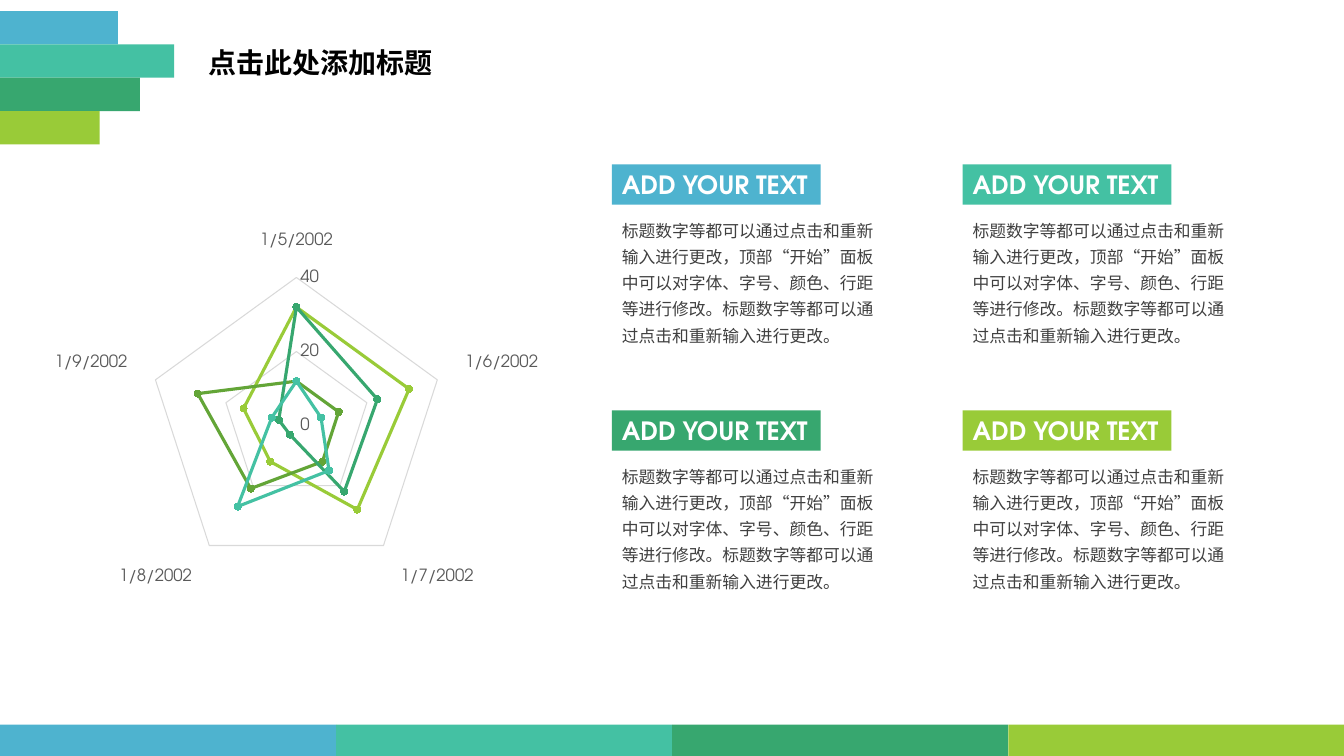
import pptx
import pptx.chart.data
import pptx.dml.color
import pptx.enum.chart
import pptx.enum.shapes
import pptx.enum.text
import pptx.oxml
import pptx.oxml.ns
import pptx.util

Cm = pptx.util.Cm
Pt = pptx.util.Pt
Auto = pptx.enum.text.MSO_AUTO_SIZE

HUES = {
    "blue": "4EB3CF", "teal": "44C1A3", "green": "37A76F", "lime": "99CB38",
    "leaf": "63A537", "grid": "D9D9D9", "axis": "595959", "body": "404040",
    "black": "000000", "white": "FFFFFF",
}
BAND = ["blue", "teal", "green", "lime"]
HAN = "Noto Sans CJK SC"
LATIN = "TeX Gyre Adventor"
BODY = ("标题数字等都可以通过点击和重新输入进行更改，顶部“开始”面板中可以对字体、"
        "字号、颜色、行距等进行修改。标题数字等都可以通过点击和重新输入进行更改。")


def style(font, face, size, hue, bold=False):
    """Set Latin and East Asian face, size, colour and weight."""
    font.size = Pt(size)
    font.bold = bold
    font.color.rgb = pptx.dml.color.RGBColor.from_string(HUES[hue])
    font.name = face
    latin = font._element.find(pptx.oxml.ns.qn("a:latin"))
    east = pptx.oxml.parse_xml(f'<a:ea {pptx.oxml.ns.nsdecls("a")} typeface="{face}"/>')
    latin.addnext(east)


def block(left, top, width, height, hue):
    """Add a plain filled rectangle, measured in centimetres."""
    rect = slide.shapes.add_shape(
        pptx.enum.shapes.MSO_SHAPE.RECTANGLE, Cm(left), Cm(top), Cm(width), Cm(height))
    rect.shadow.inherit = False
    rect.fill.solid()
    rect.fill.fore_color.rgb = pptx.dml.color.RGBColor.from_string(HUES[hue])
    rect.line.fill.background()
    return rect


deck = pptx.Presentation()
deck.slide_width = Cm(33.87)
deck.slide_height = Cm(19.05)
slide = deck.slides.add_slide(deck.slide_layouts[5])

# Corner stripes and footer band
for i, (hue, width) in enumerate(zip(BAND, [2.97, 4.39, 3.53, 2.51])):
    block(0, 0.28 + i * 0.84, width, 0.84, hue)
    block(i * 8.47, 18.26, 8.47, 0.79, hue)

# Title
title = slide.shapes.title
title.left, title.top, title.width, title.height = Cm(5), Cm(0.89), Cm(12.4), Cm(1.47)
frame = title.text_frame
frame.text = "点击此处添加标题"
frame.auto_size = Auto.NONE
frame.vertical_anchor = pptx.enum.text.MSO_ANCHOR.MIDDLE
para = frame.paragraphs[0]
para.alignment = pptx.enum.text.PP_ALIGN.LEFT
para.line_spacing = 0.9
style(para.font, HAN, 20, "black", True)

# Radar chart
data = pptx.chart.data.CategoryChartData()
data.categories = [f"1/{day}/2002" for day in range(5, 10)]
data.add_series("Series 1", [32, 32, 28, 12, 15])
data.add_series("Series 2", [12, 12, 12, 21, 28])
data.add_series("Series 3", [32, 23, 22, 3, 5])
data.add_series("Series 4", [12, 7, 15, 27, 7])
chart = slide.shapes.add_chart(
    pptx.enum.chart.XL_CHART_TYPE.RADAR_MARKERS,
    Cm(1.12), Cm(4.55), Cm(12.7), Cm(11.5), data).chart
chart.has_legend = False
chart.has_title = False
style(chart.font, LATIN, 10, "black")

cats, vals = chart.category_axis, chart.value_axis
for axis in (cats, vals):
    axis.major_tick_mark = pptx.enum.chart.XL_TICK_MARK.NONE
    axis.minor_tick_mark = pptx.enum.chart.XL_TICK_MARK.NONE
    style(axis.tick_labels.font, LATIN, 12, "axis")
cats.has_major_gridlines = False
vals.has_major_gridlines = True
vals.minimum_scale, vals.maximum_scale, vals.major_unit = 0, 40, 20
vals.format.line.fill.background()
for line in (cats.format.line, vals.major_gridlines.format.line):
    line.color.rgb = pptx.dml.color.RGBColor.from_string(HUES["grid"])
    line.width = Pt(0.75)

for series, hue in zip(chart.plots[0].series, ["lime", "leaf", "green", "teal"]):
    color = pptx.dml.color.RGBColor.from_string(HUES[hue])
    series.smooth = False
    series.format.line.color.rgb = color
    series.format.line.width = Pt(2.25)
    mark = series.marker
    mark.style = pptx.enum.chart.XL_MARKER_STYLE.CIRCLE
    mark.size = 5
    mark.format.fill.solid()
    mark.format.fill.fore_color.rgb = color
    mark.format.line.color.rgb = color

# Four text cards, two by two
for i, hue in enumerate(BAND):
    row, col = divmod(i, 2)
    left, top = 15.42 + col * 8.84, 4.14 + row * 6.2

    label = block(left, top, 5.26, 1.02, hue)
    frame = label.text_frame
    frame.text = "ADD YOUR TEXT"
    frame.word_wrap = False
    frame.auto_size = Auto.SHAPE_TO_FIT_TEXT
    para = frame.paragraphs[0]
    para.alignment = pptx.enum.text.PP_ALIGN.LEFT
    style(para.font, LATIN, 18, "white", True)

    note = slide.shapes.add_textbox(Cm(left), Cm(top + 1.14), Cm(7.04), Cm(3.58))
    frame = note.text_frame
    frame.text = BODY
    frame.word_wrap = True
    frame.auto_size = Auto.SHAPE_TO_FIT_TEXT
    para = frame.paragraphs[0]
    para.line_spacing = 1.3
    style(para.font, HAN, 12, "body")

deck.save("out.pptx")
